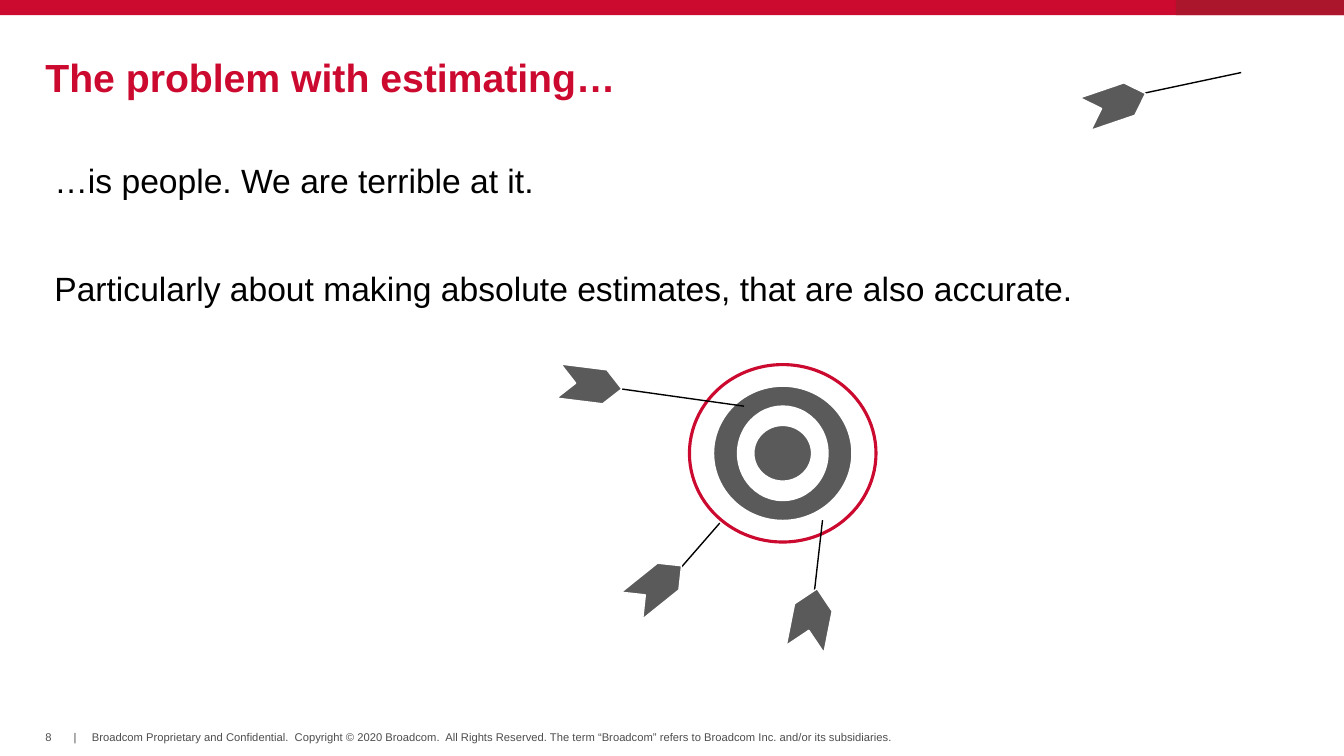
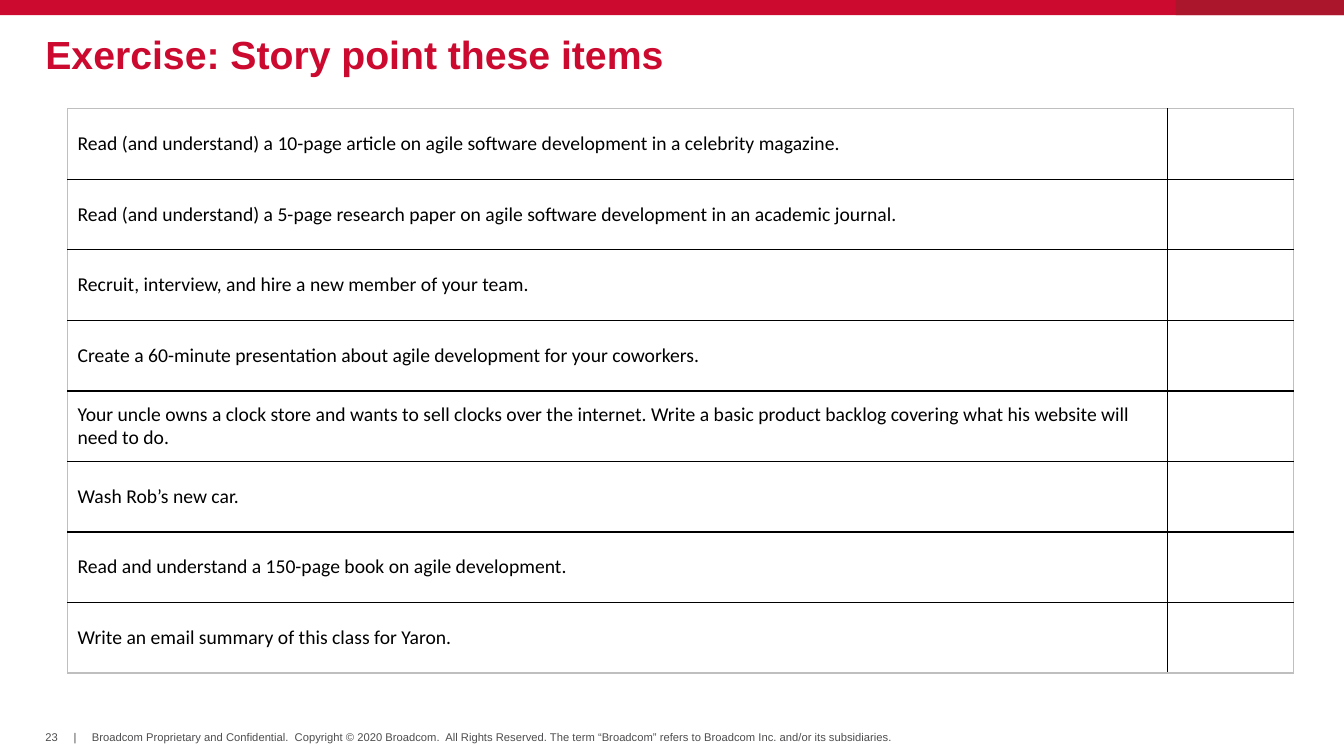
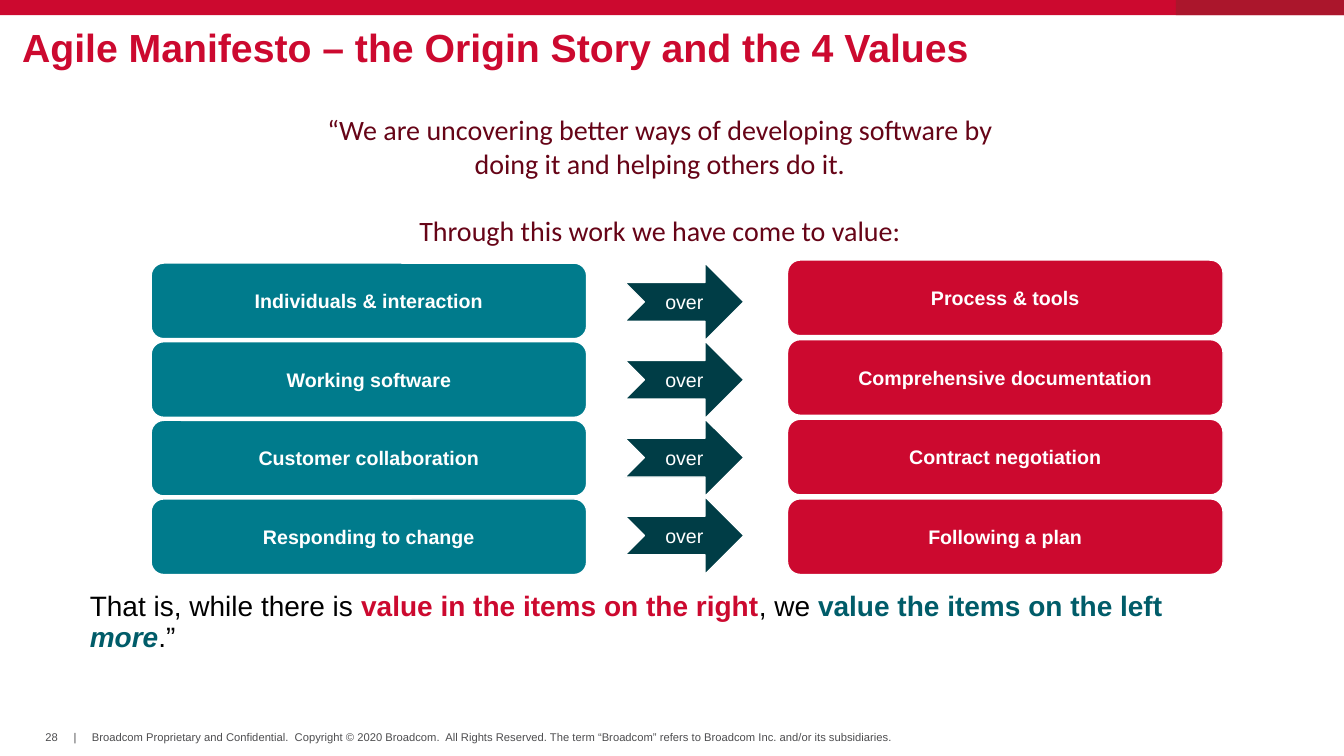
from lxml import etree
from pptx import Presentation
from pptx.dml.color import RGBColor
from pptx.enum.shapes import MSO_CONNECTOR, MSO_SHAPE
from pptx.enum.text import MSO_ANCHOR, PP_ALIGN
from pptx.oxml.ns import qn
from pptx.util import Inches, Pt

# Slide size, and the 100 x 100 grid in which all lengths are given
WIDTH, HEIGHT = Inches(13.33), Inches(7.5)

# Shared colours
RED, DARK_RED, WINE = "CC092F", "AB162C", "660417"
TEAL, MID_TEAL, DEEP_TEAL = "007B8C", "005C69", "003D46"
BLACK, WHITE, GREY, PALE, FOOT = "000000", "FFFFFF", "5A5A5A", "BFBFBF", "4D4D4F"

COPYRIGHT = ("Broadcom Proprietary and Confidential.  Copyright © 2020 Broadcom.  "
             "All Rights Reserved. The term “Broadcom” refers to Broadcom Inc. "
             "and/or its subsidiaries.")


def col(n):
    return round(WIDTH * n / 100)


def row(n):
    return round(HEIGHT * n / 100)


def box(x, y, w, h):
    return col(x), row(y), col(w), row(h)


def rgb(color):
    return RGBColor.from_string(color)


def style(font, size, color, bold=False, name="Arial"):
    font.size, font.bold, font.name = Pt(size), bold, name
    font.color.rgb = rgb(color)


# Elements
def add_text(s, at, lines, size, color, bold=False, name="Arial", align=PP_ALIGN.LEFT,
             anchor=MSO_ANCHOR.TOP, spacing=1.0, gap=0, wrap=True):
    tf = s.shapes.add_textbox(*box(*at)).text_frame
    tf.word_wrap, tf.vertical_anchor = wrap, anchor
    tf.margin_left = tf.margin_top = tf.margin_right = tf.margin_bottom = 0
    for i, line in enumerate(lines):
        p = tf.add_paragraph() if i else tf.paragraphs[0]
        p.text, p.alignment, p.line_spacing = line, align, spacing
        if i:
            p.space_before = Pt(gap)
        style(p.font, size, color, bold, name)
    return tf


def add_block(s, kind, at, fill, line=None, line_width=1.0, text="", bold=False):
    sp = s.shapes.add_shape(kind, *box(*at))
    sp.shadow.inherit = False
    sp.fill.solid()
    sp.fill.fore_color.rgb = rgb(fill)
    if line:
        sp.line.color.rgb, sp.line.width = rgb(line), Pt(line_width)
    else:
        sp.line.fill.background()
    if text:
        tf = sp.text_frame
        tf.vertical_anchor = MSO_ANCHOR.MIDDLE
        p = tf.paragraphs[0]
        p.text, p.alignment = text, PP_ALIGN.CENTER
        style(p.font, 14, WHITE, bold)
    return sp


def add_centred(s, kind, cx, cy, w, h, *look):
    return add_block(s, kind, (cx - w / 2, cy - h / 2, w, h), *look)


def add_dart(s, start, end, tail, size, angle):
    shaft = s.shapes.add_connector(MSO_CONNECTOR.STRAIGHT, col(start[0]), row(start[1]),
                                   col(end[0]), row(end[1]))
    shaft.line.color.rgb, shaft.line.width = rgb(BLACK), Pt(1)
    etree.SubElement(shaft._element.spPr, qn("a:effectLst"))
    flight = add_centred(s, MSO_SHAPE.CHEVRON, *tail, *size, GREY, WHITE)
    flight.rotation = angle


def set_borders(cell, colors):
    tcPr = cell._tc.get_or_add_tcPr()
    for i, (side, color) in enumerate(zip("LRTB", colors)):
        ln = etree.Element(qn(f"a:ln{side}"), w=str(Pt(1)))
        fill = etree.SubElement(ln, qn("a:solidFill"))
        etree.SubElement(fill, qn("a:srgbClr"), val=color)
        tcPr.insert(i, ln)


def add_item_table(s, items, x, y, widths, height):
    frame = s.shapes.add_table(len(items), len(widths),
                               *box(x, y, sum(widths), height * len(items)))
    table = frame.table
    table.first_row = table.horz_banding = False
    for c, w in enumerate(widths):
        table.columns[c].width = col(w)
    last_row, last_col = len(items) - 1, len(widths) - 1
    for r, item in enumerate(items):
        table.rows[r].height = row(height)
        table.cell(r, 0).text = item
        for c in range(len(widths)):
            cell = table.cell(r, c)
            cell.vertical_anchor = MSO_ANCHOR.MIDDLE
            cell.fill.background()
            style(cell.text_frame.paragraphs[0].font, 14, BLACK, name="Calibri")
            outer = (c == 0, c == last_col, r == 0, r == last_row)
            set_borders(cell, [PALE if edge else BLACK for edge in outer])


# Bands, footer and title of every slide
def add_slide(prs, number, title, x=3.38, y=8):
    s = prs.slides.add_slide(prs.slide_layouts[6])
    add_block(s, MSO_SHAPE.RECTANGLE, (0, 0, 100, 2), RED)
    add_block(s, MSO_SHAPE.RECTANGLE, (87.5, 0, 12.5, 2), DARK_RED)
    for left, width, text in ((3.38, 1.05, str(number)), (5.48, 0.22, "|"),
                              (6.83, 60.1, COPYRIGHT)):
        add_text(s, (left, 96.67, width, 1.73), [text], 8, FOOT,
                 anchor=MSO_ANCHOR.MIDDLE, wrap=False)
    add_text(s, (x, y, 93.25, 5.33), [title], 28, RED, True,
             anchor=MSO_ANCHOR.MIDDLE, spacing=0.85)
    return s


# Slides
def estimating_slide(prs):
    s = add_slide(prs, 8, "The problem with estimating…")
    add_text(s, (4.05, 21.73, 91.9, 19.1),
             ["…is people. We are terrible at it.",
              "Particularly about making absolute estimates, that are also accurate."],
             24, BLACK, spacing=0.9, gap=51)
    # Target, outer ring first
    for w, h, fill, line in ((13.88, 23.47, WHITE, RED), (10.43, 18, GREY, WHITE),
                             (6.6, 12.27, WHITE, WHITE), (4.43, 7.6, GREY, WHITE)):
        add_centred(s, MSO_SHAPE.OVAL, 58.24, 59.96, w, h, fill, line, 2.25)
    # Darts: shaft start and end, flight centre, size and angle
    flight = (4.73, 4.53)
    for dart in (
        ((44.7, 51.07), (55.36, 53.73), (43.92, 50.93), flight, 7.1),
        ((61.2, 68.8), (60.45, 80.53), (60.35, 81.87), (4.58, 5.07), 281.2),
        ((49.5, 77.47), (53.55, 69.2), (48.87, 77.47), flight, 321.2),
        ((84.6, 12.53), (92.35, 9.6), (83, 13.73), flight, 341.2),
    ):
        add_dart(s, *dart)


def exercise_slide(prs):
    s = add_slide(prs, 23, "Exercise: Story point these items", y=4.93)
    items = [
        "Read (and understand) a 10-page article on agile software development "
        "in a celebrity magazine.",
        "Read (and understand) a 5-page research paper on agile software development "
        "in an academic journal.",
        "Recruit, interview, and hire a new member of your team.",
        "Create a 60-minute presentation about agile development for your coworkers.",
        "Your uncle owns a clock store and wants to sell clocks over the internet. "
        "Write a basic product backlog covering what his website will need to do.",
        "Wash Rob’s new car.",
        "Read and understand a 150-page book on agile development.",
        "Write an email summary of this class for Yaron.",
    ]
    add_item_table(s, items, 5.03, 14.4, (81.83, 9.38), 9.33)


def manifesto_slide(prs):
    s = add_slide(prs, 28, "Agile Manifesto – the Origin Story and the 4 Values", 1.65, 4)
    add_text(s, (22.5, 14.93, 53.2, 18),
             ["“We are uncovering better ways of developing software by doing it "
              "and helping others do it.",
              "Through this work we have come to value:"],
             20, WINE, name="Calibri", align=PP_ALIGN.CENTER, gap=24)
    # Columns: shape, left, top, step, width, height, fill, bold, labels
    rounded = MSO_SHAPE.ROUNDED_RECTANGLE
    columns = (
        (rounded, 11.25, 34.8, 10.4, 32.4, 10, TEAL, True,
         ("Individuals & interaction", "Working software",
          "Customer collaboration", "Responding to change")),
        (rounded, 58.6, 34.4, 10.53, 32.4, 10, RED, True,
         ("Process & tools", "Comprehensive documentation",
          "Contract negotiation", "Following a plan")),
        (MSO_SHAPE.NOTCHED_RIGHT_ARROW, 46.5, 34.8, 10.3, 8.85, 10.27, DEEP_TEAL, False,
         ("over",) * 4),
    )
    for kind, x, top, step, w, h, fill, bold, labels in columns:
        for i, label in enumerate(labels):
            add_block(s, kind, (x, top + i * step, w, h), fill, WHITE, text=label, bold=bold)
    # Closing sentence with coloured parts
    tf = add_text(s, (6.68, 78.4, 85.9, 8), [""], 20, BLACK, spacing=0.9)
    for text, color, bold, italic in (
        ("That is, while there is ", BLACK, False, False),
        ("value in the items on the right", RED, True, False),
        (", we ", BLACK, False, False),
        ("value the items on the left ", MID_TEAL, True, False),
        ("more", MID_TEAL, True, True),
        (".”", BLACK, False, False),
    ):
        r = tf.paragraphs[0].add_run()
        r.text = text
        style(r.font, 20, color, bold)
        r.font.italic = italic


def main():
    prs = Presentation()
    prs.slide_width, prs.slide_height = WIDTH, HEIGHT
    estimating_slide(prs)
    exercise_slide(prs)
    manifesto_slide(prs)
    prs.save("out.pptx")


if __name__ == "__main__":
    main()
